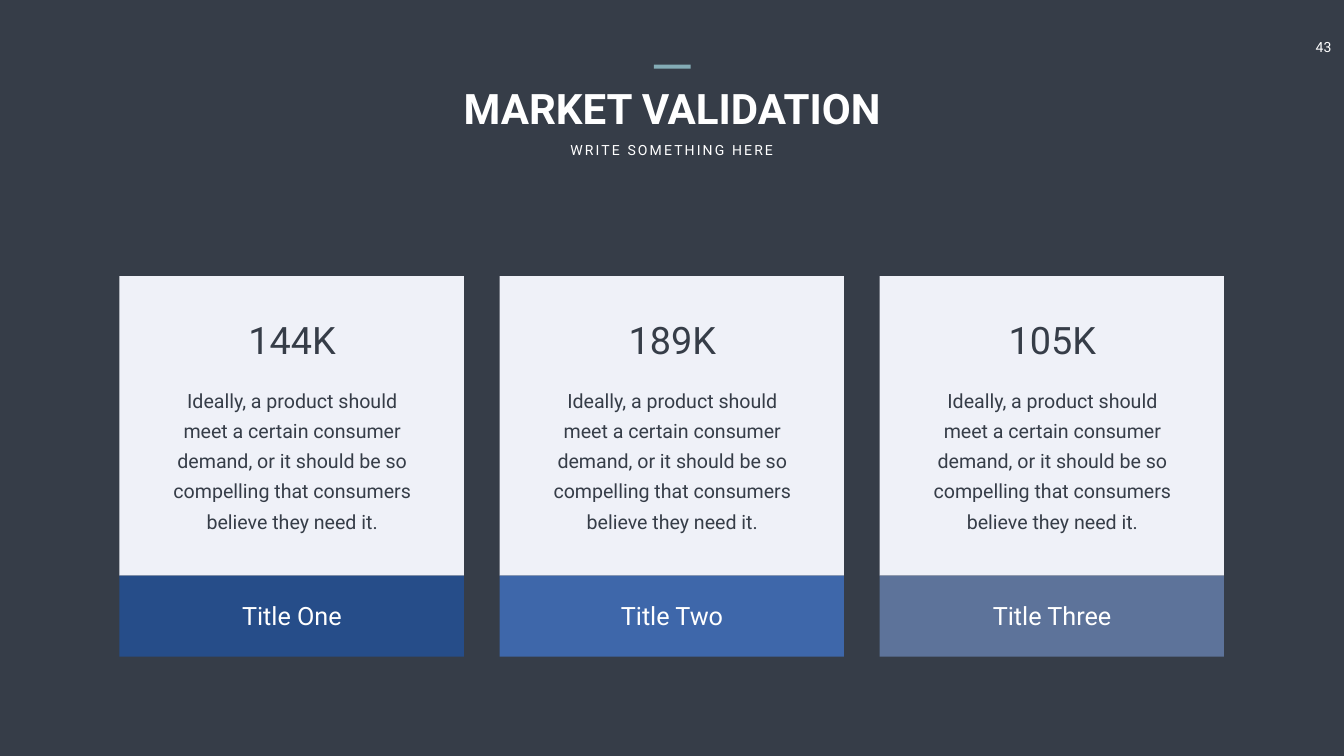
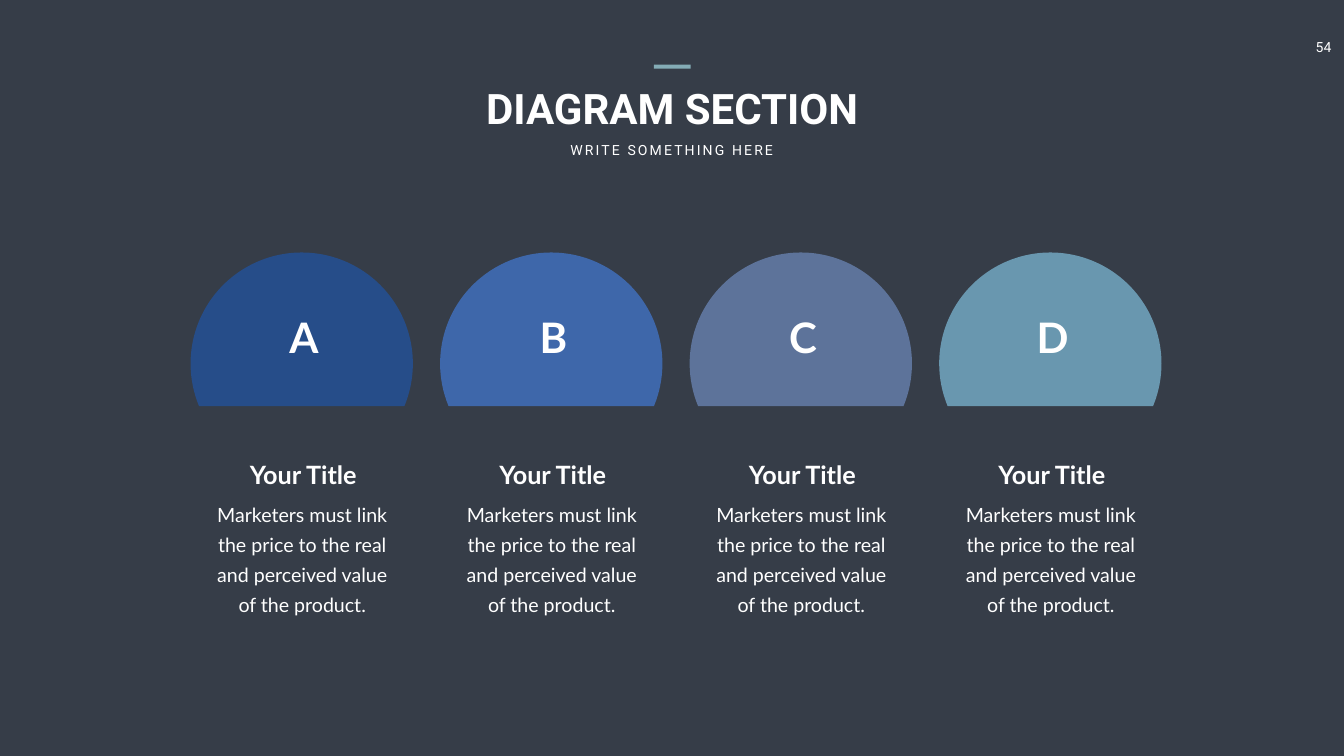
from dataclasses import dataclass
from typing import NamedTuple

from pptx import Presentation
from pptx.dml.color import RGBColor
from pptx.enum.shapes import MSO_SHAPE as Shape
from pptx.enum.text import MSO_ANCHOR as Anchor, MSO_AUTO_SIZE as AutoSize, PP_ALIGN as Align
from pptx.util import Inches, Pt


@dataclass(frozen=True)
class Theme:
    dark: str = "363D48"
    light: str = "EFF1F8"
    white: str = "FFFFFF"
    accent: str = "84ACB6"
    series: tuple = ("264D89", "3E67AA", "5D739A", "6997AF")
    heading_font: str = "Roboto"
    diagram_font: str = "Lato"
    title_size: int = 60
    figure_size: int = 54
    label_size: int = 36
    body_size: int = 28
    small_size: int = 20
    body_leading: int = 43
    tracking: int = 3


class Box(NamedTuple):
    left: float
    top: float
    width: float
    height: float

    def inner(self, left, top, width, height):
        return Box(self.left + left, self.top + top, width, height)

    def lengths(self):
        return [Inches(value) for value in self]


THEME = Theme()
PAGE_WIDTH, PAGE_HEIGHT = 26.66, 15
HEADER = Box(8.18, 1.28, 10.31, 1.91)
NUMBER = Box(25.8, 0.67, 0.91, 0.54)
CARD = Box(2.37, 5.48, 6.83, 7.55)
CARD_PITCH = 7.54
COLUMN = Box(3.78, 5.01, 4.41, 7.24)
COLUMN_PITCH = 4.95
CHORD_ANGLES = (157.5, 22.5)

CARD_TEXT = ("Ideally, a product should meet a certain consumer demand, "
             "or it should be so compelling that consumers believe they need it.")
COLUMN_TEXT = "Marketers must link the price to the real and perceived value of the product."
CARDS = (("144K", "Title One"), ("189K", "Title Two"), ("105K", "Title Three"))


def write(frame, text, size, color=THEME.white, font=THEME.heading_font, bold=False,
          wrap=True, leading=None, tracking=None, margins=(0.1, 0.05)):
    frame.word_wrap = wrap
    frame.auto_size = AutoSize.NONE
    frame.vertical_anchor = Anchor.TOP
    frame.margin_left = frame.margin_right = Inches(margins[0])
    frame.margin_top = frame.margin_bottom = Inches(margins[1])
    para = frame.paragraphs[0]
    para.alignment = Align.CENTER
    if leading:
        para.line_spacing = Pt(leading)
    span = para.add_run()
    span.text = text
    span.font.name = font
    span.font.size = Pt(size)
    span.font.bold = bold
    span.font.color.rgb = RGBColor.from_string(color)
    if tracking:
        span._r.get_or_add_rPr().set("spc", str(tracking * 100))


def add_text(page, box, text, size, **style):
    write(page.shapes.add_textbox(*box.lengths()).text_frame, text, size, **style)


def add_filled(page, kind, box, color):
    shape = page.shapes.add_shape(kind, *box.lengths())
    shape.shadow.inherit = False
    shape.fill.solid()
    shape.fill.fore_color.rgb = RGBColor.from_string(color)
    shape.line.fill.background()
    return shape


def add_header(page, box, title):
    heading = page.shapes.title
    heading.left, heading.top, heading.width, heading.height = box.inner(0, 0.31, box.width, 1.11).lengths()
    write(heading.text_frame, title, THEME.title_size, bold=True)
    add_text(page, box.inner(2.97, 1.47, 4.35, 0.44), "WRITE SOMETHING HERE",
             THEME.small_size, wrap=False, tracking=THEME.tracking)
    add_filled(page, Shape.RECTANGLE, box.inner(4.79, 0, 0.73, 0.08), THEME.accent)


def add_page(deck, title, number):
    page = deck.slides.add_slide(deck.slide_layouts.get_by_name("Title Only"))
    add_text(page, NUMBER, number, THEME.small_size, wrap=False, margins=(0.2, 0.1))
    add_header(page, HEADER, title)
    return page


def add_card(page, box, figure, label, color):
    panel_height = 5.94
    add_filled(page, Shape.RECTANGLE, box.inner(0, 0, box.width, panel_height), THEME.light)
    add_filled(page, Shape.RECTANGLE,
               box.inner(0, panel_height, box.width, box.height - panel_height), color)
    add_text(page, box.inner(2.44, 0.75, 1.97, 1.01), figure, THEME.figure_size,
             color=THEME.dark, wrap=False)
    add_text(page, box.inner(0.7, 1.99, 5.45, 3.2), CARD_TEXT, THEME.body_size,
             color=THEME.dark, leading=THEME.body_leading, margins=(0.24, 0.12))
    add_text(page, box.inner(1.58, 6.39, 3.68, 0.71), label, THEME.label_size)


def add_column(page, box, letter, color):
    dome = add_filled(page, Shape.CHORD, box.inner(0, 0, box.width, box.width), color)
    for index, angle in enumerate(CHORD_ANGLES):
        dome.adjustments[index] = angle * 60000 / 100000
    lato = {"font": THEME.diagram_font}
    add_text(page, box.inner(1.42, 1.13, 1.66, 1.11), letter, THEME.title_size,
             bold=True, tracking=THEME.tracking, **lato)
    add_text(page, box.inner(1.02, 4.06, 2.43, 0.71), "Your Title", THEME.label_size,
             bold=True, wrap=False, **lato)
    add_text(page, box.inner(0.3, 4.79, 3.83, 2.45), COLUMN_TEXT, THEME.body_size,
             leading=THEME.body_leading, **lato)


def build_validation(deck):
    page = add_page(deck, "MARKET VALIDATION", "43")
    for index, ((figure, label), color) in enumerate(zip(CARDS, THEME.series)):
        box = CARD.inner(index * CARD_PITCH, 0, CARD.width, CARD.height)
        add_card(page, box, figure, label, color)


def build_diagram(deck):
    page = add_page(deck, "DIAGRAM SECTION", "54")
    for index, (letter, color) in enumerate(zip("ABCD", THEME.series)):
        box = COLUMN.inner(index * COLUMN_PITCH, 0, COLUMN.width, COLUMN.height)
        add_column(page, box, letter, color)


def main():
    deck = Presentation()
    deck.slide_width, deck.slide_height = Inches(PAGE_WIDTH), Inches(PAGE_HEIGHT)
    backdrop = deck.slide_master.background.fill
    backdrop.solid()
    backdrop.fore_color.rgb = RGBColor.from_string(THEME.dark)
    build_validation(deck)
    build_diagram(deck)
    deck.save("out.pptx")


if __name__ == "__main__":
    main()
